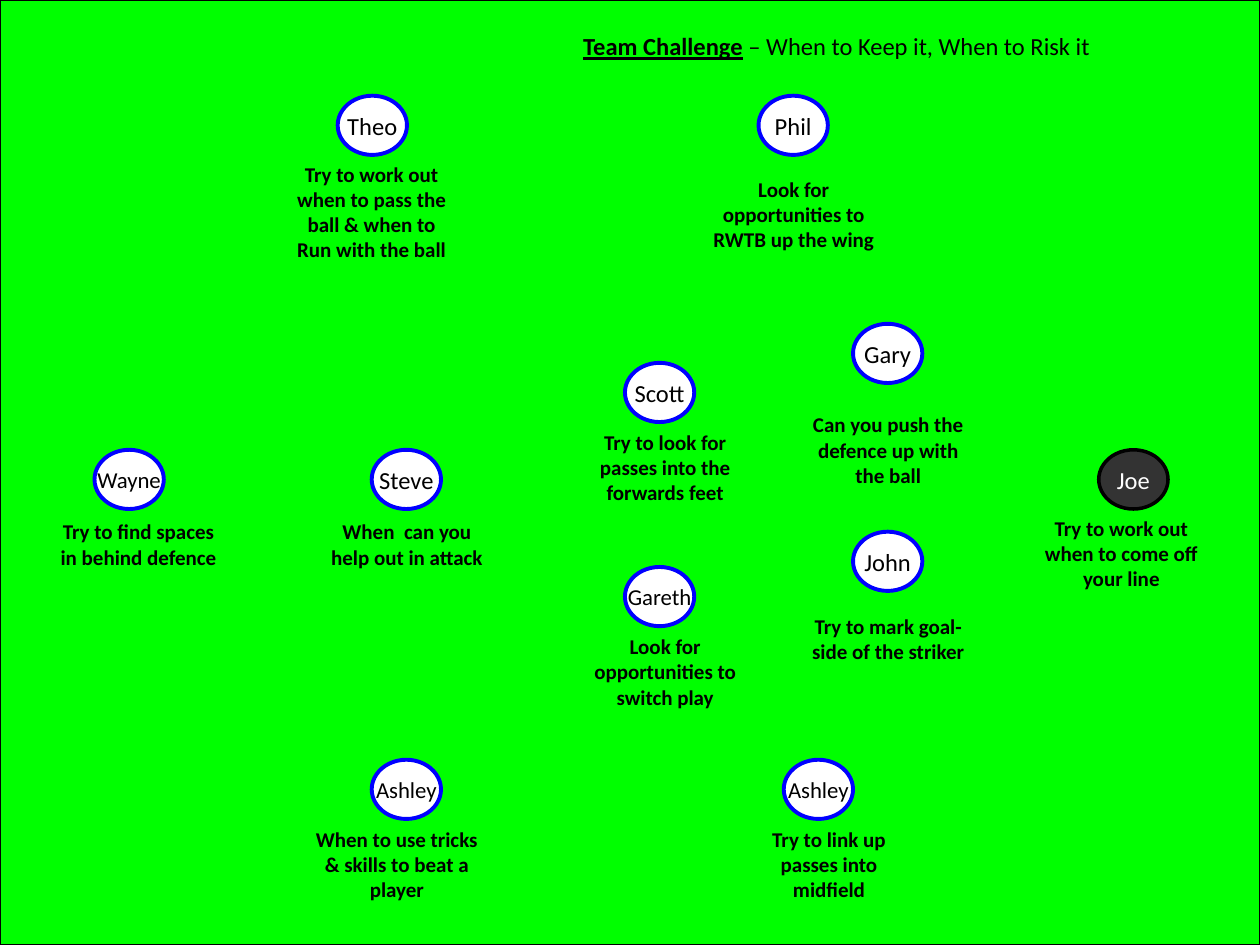
from pptx import Presentation
from pptx.dml.color import RGBColor
from pptx.enum.shapes import MSO_SHAPE
from pptx.enum.text import MSO_ANCHOR, MSO_AUTO_SIZE, PP_ALIGN
from pptx.util import Inches, Pt

RECT, OVAL = MSO_SHAPE.RECTANGLE, MSO_SHAPE.OVAL
CENTER, LEFT = PP_ALIGN.CENTER, PP_ALIGN.LEFT
MIDDLE, GROW = MSO_ANCHOR.MIDDLE, MSO_AUTO_SIZE.SHAPE_TO_FIT_TEXT

FONT = "Calibri"
BLACK, WHITE, GREEN, BLUE, GREY = "000000", "FFFFFF", "00FF00", "0000FF", "333333"
MARKER_W, MARKER_H = 0.55, 0.47
TIP_W, TIP_LINE, TIP_MARGINS = 1.5, 0.2, 0.1

TITLE = [("Team Challenge", True), (" – When to Keep it, When to Risk it", False)]

# name, marker (left, top), tip, tip (left, top), lines in tip
PLAYERS = [
    ("Theo", (2.68, 0.76), "Try to work out when to pass the ball & when to Run with the ball", (2.2, 1.23), 4),
    ("Phil", (6.02, 0.76), "Look for opportunities to RWTB up the wing", (5.55, 1.35), 3),
    ("Gary", (6.77, 2.57), "Can you push the defence up with the ball", (6.3, 3.22), 3),
    ("John", (6.77, 4.22), "Try to mark goal-side of the striker", (6.3, 4.82), 2),
    ("Scott", (4.96, 2.88), "Try to look for passes into the forwards feet", (4.53, 3.36), 3),
    ("Gareth", (4.96, 4.5), "Look for opportunities to switch play", (4.53, 4.98), 3),
    ("Wayne", (0.75, 3.57), "Try to find spaces in behind defence", (0.35, 4.07), 2),
    ("Steve", (2.95, 3.57), "When  can you help out in attack", (2.48, 4.07), 2),
    ("Ashley", (2.95, 6.03), "When to use tricks & skills to beat a player", (2.4, 6.51), 3),
    ("Ashley", (6.22, 6.03), "Try to link up passes into midfield", (5.83, 6.51), 3),
    ("Joe", (8.72, 3.57), "Try to work out when to come off your line", (8.15, 4.04), 3),
]
GOALKEEPER = "Joe"
SMALL_NAMES = {"Ashley", "Gareth", "Wayne"}


def rgb(color):
    return RGBColor.from_string(color)


def add_run(p, text, size=14, color=BLACK, bold=False, underline=False):
    r = p.add_run()
    r.text = text
    r.font.name, r.font.size = FONT, Pt(size)
    r.font.bold, r.font.underline = bold, underline
    r.font.color.rgb = rgb(color)


def add_shape(s, kind, x, y, w, h, fill, line, weight):
    sp = s.shapes.add_shape(kind, Inches(x), Inches(y), Inches(w), Inches(h))
    sp.shadow.inherit = False
    sp.fill.solid()
    sp.fill.fore_color.rgb = rgb(fill)
    sp.line.color.rgb = rgb(line)
    sp.line.width = Pt(weight)
    return sp


def add_marker(s, name, x, y):
    fill, line, weight, color = (
        (GREY, BLACK, 2, WHITE) if name == GOALKEEPER else (WHITE, BLUE, 2.25, BLACK))
    tf = add_shape(s, OVAL, x, y, MARKER_W, MARKER_H, fill, line, weight).text_frame
    tf.word_wrap = False
    tf.vertical_anchor = MIDDLE
    p = tf.paragraphs[0]
    p.alignment = CENTER
    add_run(p, name, size=13 if name in SMALL_NAMES else 14, color=color)


def add_text_box(s, x, y, w, h, align):
    """Add a wrapping, growing text box and return its first paragraph."""
    tf = s.shapes.add_textbox(Inches(x), Inches(y), Inches(w), Inches(h)).text_frame
    tf.word_wrap = True
    tf.auto_size = GROW
    p = tf.paragraphs[0]
    p.alignment = align
    return p


def main():
    prs = Presentation()
    prs.slide_width, prs.slide_height = Inches(10), Inches(7.5)
    s = prs.slides.add_slide(prs.slide_layouts[6])

    add_shape(s, RECT, 0, 0, 10, 7.5, GREEN, BLACK, 0.75)
    for name, marker, tip, tip_at, lines in PLAYERS:
        add_marker(s, name, *marker)
        p = add_text_box(s, *tip_at, TIP_W, TIP_MARGINS + lines * TIP_LINE, CENTER)
        add_run(p, tip, size=12, bold=True)

    p = add_text_box(s, 4.53, 0.2, 5.12, 0.33, LEFT)
    for text, strong in TITLE:
        add_run(p, text, bold=strong, underline=strong)

    prs.save("out.pptx")


if __name__ == "__main__":
    main()
